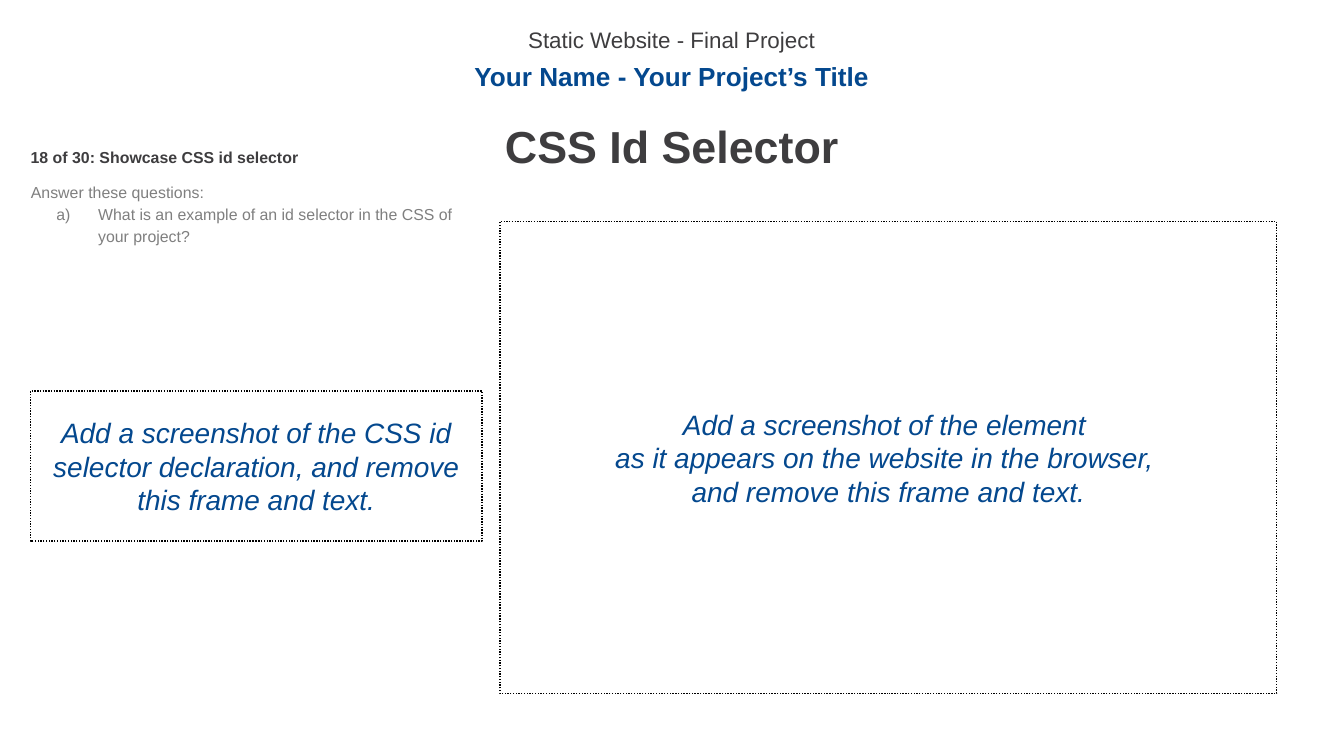
from dataclasses import dataclass

from lxml.etree import SubElement
from pptx import Presentation
from pptx.dml.color import RGBColor
from pptx.enum.dml import MSO_LINE_DASH_STYLE as DashStyle
from pptx.enum.shapes import MSO_AUTO_SHAPE_TYPE as ShapeType
from pptx.enum.text import MSO_ANCHOR as Anchor
from pptx.enum.text import MSO_AUTO_SIZE as AutoSize
from pptx.enum.text import PP_ALIGN as Align
from pptx.oxml.ns import qn
from pptx.util import Cm, Pt


@dataclass(frozen=True)
class Style:
    size: float
    color: str
    bold: bool = False
    italic: bool = False
    align: Align = Align.LEFT
    line_spacing: float = 1.14


@dataclass(frozen=True)
class Theme:
    font: str = "Arial"
    frame_line: str = "000000"
    muted: str = "7F7F7F"
    course: Style = Style(12, "3E3D3F", align=Align.CENTER)
    project: Style = Style(14, "04488E", bold=True, align=Align.CENTER)
    title: Style = Style(24, "3E3D3F", bold=True, align=Align.CENTER)
    task: Style = Style(8.5, "3E3D3F", bold=True)
    question: Style = Style(8.5, "7F7F7F")
    prompt: Style = Style(15, "04488E", italic=True, align=Align.CENTER, line_spacing=1.0)


@dataclass(frozen=True)
class Box:
    left: float
    top: float
    width: float
    height: float

    def lengths(self) -> tuple:
        return Cm(self.left), Cm(self.top), Cm(self.width), Cm(self.height)


@dataclass(frozen=True)
class TextItem:
    box: Box
    text: str
    style: Style


THEME = Theme()
HEADER_LEFT, HEADER_WIDTH = 5.05, 15.29
TASK_LEFT, TASK_WIDTH = 0.33, 8.76

TITLE = TextItem(Box(HEADER_LEFT, 1.98, HEADER_WIDTH, 1.14), "CSS Id Selector", THEME.title)
QUESTIONS = TextItem(
    Box(TASK_LEFT, 3.28, TASK_WIDTH, 3.73),
    "Answer these questions:\n"
    "What is an example of an id selector in the CSS of your project?",
    THEME.question,
)
LABELS = [
    TextItem(Box(HEADER_LEFT, 0.3, HEADER_WIDTH, 0.61),
             "Static Website - Final Project", THEME.course),
    TextItem(Box(HEADER_LEFT, 0.94, HEADER_WIDTH, 0.91),
             "Your Name - Your Project’s Title", THEME.project),
    TextItem(Box(TASK_LEFT, 2.62, TASK_WIDTH, 0.64),
             "18 of 30: Showcase CSS id selector", THEME.task),
]
FRAMES = [
    TextItem(Box(9.45, 4.19, 14.68, 8.92),
             "Add a screenshot of the element \n"
             "as it appears on the website in the browser, \n"
             "and remove this frame and text.", THEME.prompt),
    TextItem(Box(0.58, 7.39, 8.53, 2.84),
             "Add a screenshot of the CSS id selector declaration, "
             "and remove this frame and text.", THEME.prompt),
]


def write_text(shape, item: TextItem, anchor: Anchor = Anchor.TOP) -> None:
    text_frame = shape.text_frame
    text_frame.text = item.text
    text_frame.word_wrap = True
    text_frame.auto_size = AutoSize.NONE
    text_frame.vertical_anchor = anchor
    style = item.style
    for paragraph in text_frame.paragraphs:
        paragraph.alignment = style.align
        paragraph.line_spacing = style.line_spacing
        paragraph.space_before = paragraph.space_after = Pt(0)
        for run in paragraph.runs:
            font = run.font
            font.name = THEME.font
            font.size = Pt(style.size)
            font.bold = style.bold
            font.italic = style.italic
            font.color.rgb = RGBColor.from_string(style.color)


def fill_placeholder(placeholder, item: TextItem) -> None:
    placeholder.left, placeholder.top, placeholder.width, placeholder.height = item.box.lengths()
    write_text(placeholder, item)


def set_indent(paragraph, left: float, first_line: float):
    properties = paragraph._p.get_or_add_pPr()
    properties.set("marL", str(Cm(left)))
    properties.set("indent", str(Cm(first_line)))
    return properties


def letter_questions(placeholder) -> None:
    intro, *questions = placeholder.text_frame.paragraphs
    SubElement(set_indent(intro, 0, 0), qn("a:buNone"))
    for question in questions:
        properties = set_indent(question, 1.27, -0.79)
        bullet_color = SubElement(properties, qn("a:buClr"))
        SubElement(bullet_color, qn("a:srgbClr"), val=THEME.muted)
        SubElement(properties, qn("a:buAutoNum"), type="alphaLcParenR")


def add_label(slide, item: TextItem) -> None:
    write_text(slide.shapes.add_textbox(*item.box.lengths()), item)


def add_frame(slide, item: TextItem) -> None:
    shape = slide.shapes.add_shape(ShapeType.RECTANGLE, *item.box.lengths())
    shape.shadow.inherit = False
    shape.fill.background()
    shape.line.color.rgb = RGBColor.from_string(THEME.frame_line)
    shape.line.width = Pt(0.75)
    shape.line.dash_style = DashStyle.ROUND_DOT
    text_frame = shape.text_frame
    text_frame.margin_top = text_frame.margin_bottom = Cm(0.25)
    write_text(shape, item, Anchor.MIDDLE)


def main() -> None:
    presentation = Presentation()
    presentation.slide_width, presentation.slide_height = Cm(25.4), Cm(14.29)
    slide = presentation.slides.add_slide(presentation.slide_layouts[1])
    title, body = slide.placeholders
    fill_placeholder(title, TITLE)
    fill_placeholder(body, QUESTIONS)
    letter_questions(body)
    for label in LABELS:
        add_label(slide, label)
    for frame in FRAMES:
        add_frame(slide, frame)
    presentation.save("out.pptx")


if __name__ == "__main__":
    main()
